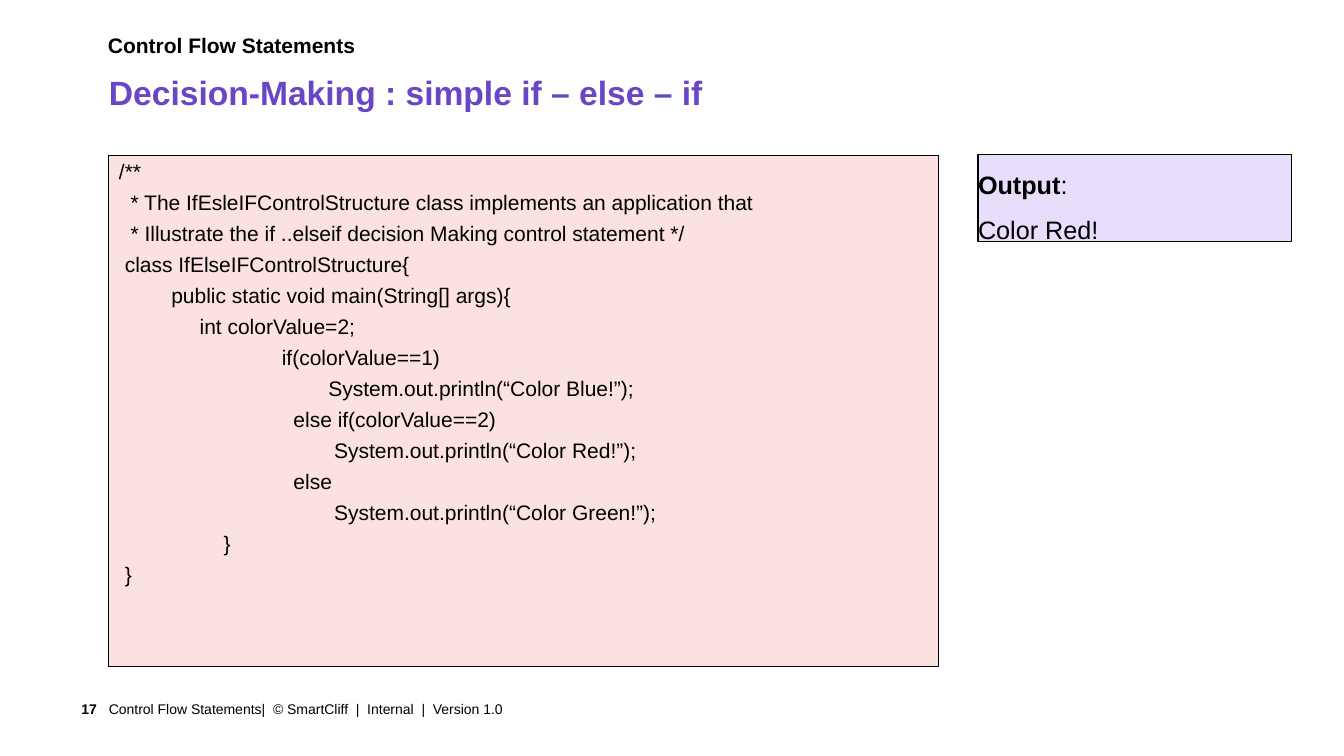
from dataclasses import dataclass

from lxml.etree import SubElement
from pptx import Presentation
from pptx.dml.color import RGBColor
from pptx.enum.shapes import MSO_SHAPE
from pptx.enum.text import MSO_ANCHOR, PP_ALIGN
from pptx.oxml.ns import qn
from pptx.util import Emu, Pt

PX = 9144


@dataclass(frozen=True)
class Theme:
    font: str = "Arial"
    ink: str = "000000"
    accent: str = "6846C6"
    code_fill: str = "FBE2E0"
    output_fill: str = "E6DEFA"
    title: int = 24
    output: int = 18
    body: int = 15
    footer: int = 10


THEME = Theme()

CODE = """/**
  * The IfEsleIFControlStructure class implements an application that
  * Illustrate the if ..elseif decision Making control statement */
 class IfElseIFControlStructure{
         public static void main(String[] args){
 \t\tint colorValue=2;
                            if(colorValue==1)
                                    System.out.println(“Color Blue!”);
                              else if(colorValue==2)
                                     System.out.println(“Color Red!”);
                              else
                                     System.out.println(“Color Green!”);
                  }
 }""".split("\n")


def px(*lengths):
    return [Emu(n * PX) for n in lengths]


def style(p, size, color=THEME.ink, bold=False):
    for r in p.runs:
        r.font.name = THEME.font
        r.font.size = Pt(size)
        r.font.bold = bold
        r.font.color.rgb = RGBColor.from_string(color)


def set_insets(tf, left=0, top=0, right=0, bottom=0):
    tf.margin_left, tf.margin_top, tf.margin_right, tf.margin_bottom = px(
        left, top, right, bottom)


def add_label(s, box, text, size, color=THEME.ink, bold=False,
              insets=(0, 0, 0, 0), anchor=MSO_ANCHOR.TOP, align=PP_ALIGN.LEFT):
    tf = s.shapes.add_textbox(*px(*box)).text_frame
    tf.word_wrap = True
    tf.vertical_anchor = anchor
    set_insets(tf, *insets)
    p = tf.paragraphs[0]
    p.text = text
    p.alignment = align
    style(p, size, color, bold)


def add_heading(s, x, y, w):
    add_label(s, (x, y, w, 41), "Control Flow Statements", THEME.body, bold=True)
    add_label(s, (x + 1, y + 39, w, 42), "Decision-Making : simple if – else – if",
              THEME.title, THEME.accent, True)


def add_footer(s, x, y, h):
    number_w = 66
    add_label(s, (x, y, number_w, h), "17", THEME.footer, bold=True,
              insets=(10, 5, 12, 5), anchor=MSO_ANCHOR.MIDDLE, align=PP_ALIGN.RIGHT)
    add_label(s, (x + number_w, y, 936, h),
              "Control Flow Statements|  © SmartCliff  |  Internal  |  Version 1.0",
              THEME.footer, insets=(0, 5, 10, 5), anchor=MSO_ANCHOR.MIDDLE)


def set_borders(cell, width, color):
    tcPr = cell._tc.get_or_add_tcPr()
    for i, side in enumerate(("lnL", "lnR", "lnT", "lnB")):
        ln = SubElement(tcPr, qn(f"a:{side}"), w=str(Pt(width)))
        fill = SubElement(ln, qn("a:solidFill"))
        SubElement(fill, qn("a:srgbClr"), val=color)
        tcPr.insert(i, ln)


def add_code(s, x, y, w, h):
    table = s.shapes.add_table(1, 1, *px(x, y, w, h)).table
    cell = table.cell(0, 0)
    cell.fill.solid()
    cell.fill.fore_color.rgb = RGBColor.from_string(THEME.code_fill)
    set_borders(cell, 1, THEME.ink)
    tf = cell.text_frame
    tf.text = "\n".join(CODE)
    for i, p in enumerate(tf.paragraphs):
        pPr = p._p.get_or_add_pPr()
        pPr.set("marL", str(30 * PX))
        pPr.set("indent", str(-30 * PX))
        p.space_before = Pt(5.5 if i else 0)
        style(p, THEME.body)


def add_output(s, x, y, w, h):
    sp = s.shapes.add_shape(MSO_SHAPE.RECTANGLE, *px(x, y, w, h))
    sp.shadow.inherit = False
    sp.fill.solid()
    sp.fill.fore_color.rgb = RGBColor.from_string(THEME.output_fill)
    sp.line.color.rgb = RGBColor.from_string(THEME.ink)
    sp.line.width = Pt(0.75)
    tf = sp.text_frame
    tf.word_wrap = True
    tf.vertical_anchor = MSO_ANCHOR.TOP
    set_insets(tf)
    tf.text = "Output\nColor Red!"
    tf.paragraphs[0].add_run().text = ":"
    for p in tf.paragraphs:
        p.alignment = PP_ALIGN.LEFT
        p.line_spacing = 1.5
        style(p, THEME.output)
    tf.paragraphs[0].runs[0].font.bold = True


def main():
    prs = Presentation()
    prs.slide_width, prs.slide_height = px(1333, 750)
    s = prs.slides.add_slide(prs.slide_layouts[6])
    add_heading(s, 107, 32, 1194)
    add_footer(s, 42, 688, 31)
    add_code(s, 108, 154, 823, 507)
    add_output(s, 970, 153, 311, 87)
    prs.save("out.pptx")


if __name__ == "__main__":
    main()
